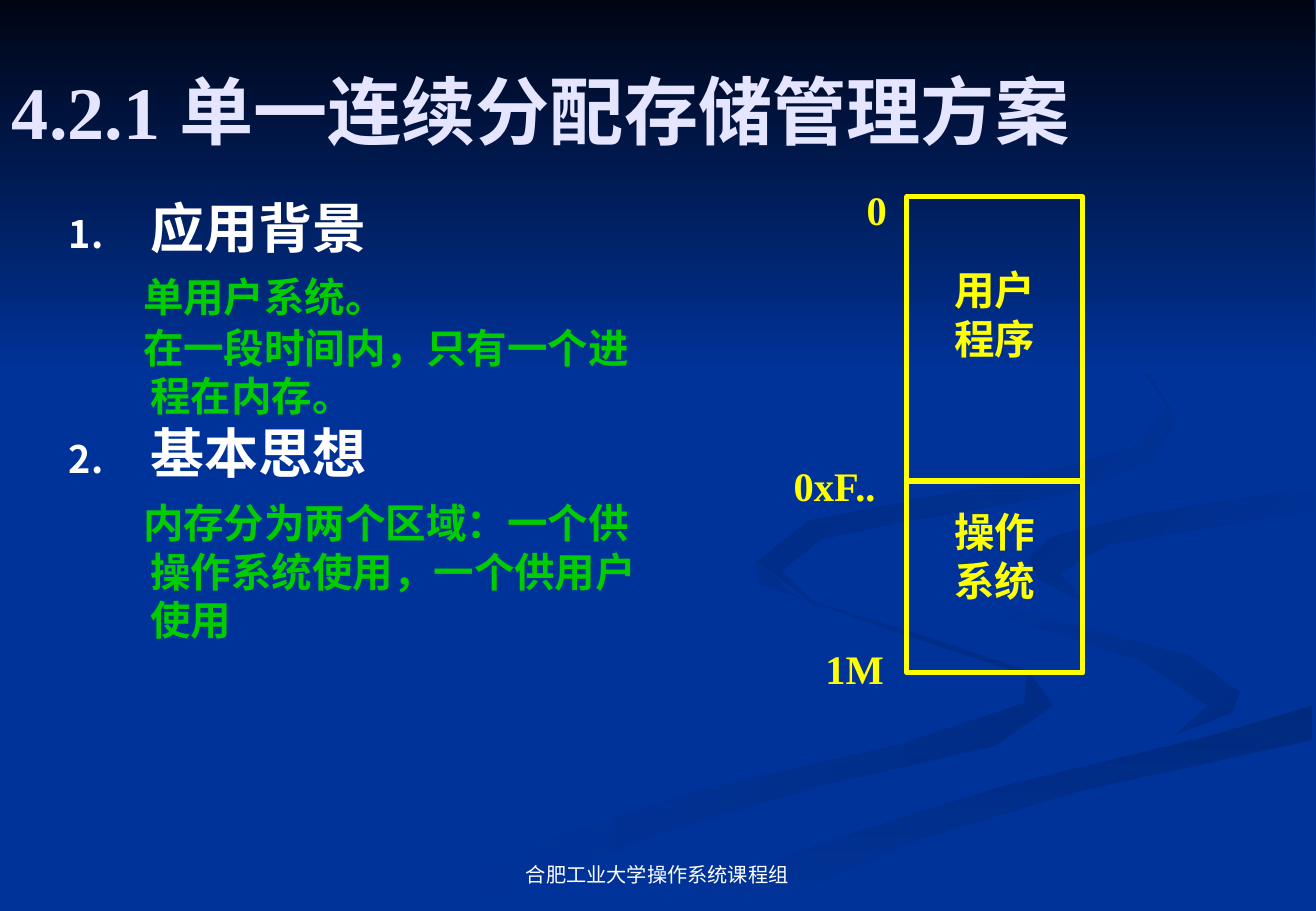
"""Build the slide on single contiguous memory allocation."""
from lxml.etree import SubElement
from pptx import Presentation
from pptx.dml.color import RGBColor
from pptx.enum.shapes import MSO_CONNECTOR as Connector, MSO_SHAPE as Shape
from pptx.enum.text import MSO_ANCHOR as Anchor, PP_ALIGN as Align
from pptx.oxml.ns import qn
from pptx.util import Inches, Pt

BLUE = RGBColor(0x00, 0x33, 0x99)
NIGHT = RGBColor(0x00, 0x05, 0x14)
SHADE = RGBColor(0x00, 0x2C, 0x86)
DEEP = RGBColor(0x00, 0x2A, 0x7D)
LAVENDER = RGBColor(0xE5, 0xE5, 0xFF)
WHITE = RGBColor(0xFF, 0xFF, 0xFF)
GREEN = RGBColor(0x00, 0xCC, 0x00)
YELLOW = RGBColor(0xFF, 0xFF, 0x00)
SERIF = "Times New Roman"
SANS = "Arial"

TITLE = "4.2.1 单一连续分配存储管理方案"
FOOTER = "合肥工业大学操作系统课程组"
SECTIONS = [
    ("应用背景", ["单用户系统。", "在一段时间内，只有一个进程在内存。"]),
    ("基本思想", ["内存分为两个区域：一个供操作系统使用，一个供用户使用"]),
]
MEMORY_AREAS = [("用户", "程序"), ("操作", "系统")]
ADDRESSES = [("0", 7.04, 1.47, 0.36), ("0xF..", 6.44, 3.75, 0.9), ("1M", 6.7, 5.25, 0.68)]
MEMORY = (7.47, 1.62, 1.45, 3.92)
DIVIDER_Y = 3.96

RIBBONS = [
    (BLUE, SHADE, 0, [
        (8.47, 5.53), (7.74, 5.28), (6.53, 4.9), (6.23, 4.59), (6.24, 4.8), (7.35, 5.19),
        (8.46, 5.56), (8.44, 5.79), (7.41, 6.13), (5.84, 6.49), (4.52, 6.9), (3.25, 7.49),
        (3.91, 7.49), (5.4, 6.87), (6.75, 6.47), (8.19, 6.14), (8.67, 5.81)]),
    (BLUE, SHADE, 45, [
        (10.21, 5.7), (9.8, 5.4), (8.38, 5.03), (7.84, 4.64), (8.18, 5.05), (9.4, 5.44),
        (9.95, 5.81), (9.68, 6.05), (10.15, 5.86)]),
    (DEEP, BLUE, 90, [
        (5.45, 7.49), (6.19, 7.49), (7.53, 6.92), (8.89, 6.51), (10.81, 6.09), (10.81, 5.81),
        (9.97, 6.06), (8.28, 6.47), (6.82, 6.93)]),
    (SHADE, BLUE, 45, [
        (8.47, 4.6), (8.57, 4.78), (8.94, 4.96), (8.72, 4.72), (9.13, 4.48), (10.81, 4.2),
        (10.81, 4.02), (9.37, 4.24), (8.66, 4.42)]),
    (DEEP, BLUE, 45, [
        (7.4, 4.3), (8.74, 4.07), (9.49, 3.78), (9.68, 3.44), (9.36, 2.91), (8.26, 2.33),
        (9.26, 2.85), (9.63, 3.35), (9.33, 3.7), (8.27, 3.98), (6.66, 4.29), (6.25, 4.62),
        (6.74, 5.0), (6.43, 4.7), (6.76, 4.44)]),
    (NIGHT, BLUE, 90, [(0, 0), (0, 3.08), (10.83, 3.08), (10.83, 0)]),
]


def add_ribbon(page, start, end, angle, points):
    corners = [(Inches(x), Inches(y)) for x, y in points]
    builder = page.shapes.build_freeform(*corners[0])
    builder.add_line_segments(corners[1:], close=True)
    ribbon = builder.convert_to_shape()
    ribbon.shadow.inherit = False
    ribbon.line.fill.background()
    ribbon.fill.gradient()
    ribbon.fill.gradient_angle = -angle % 360
    for stop, color in zip(ribbon.fill.gradient_stops, (start, end)):
        stop.color.rgb = color


def add_box(page, left, top, width, height, anchor=Anchor.TOP, wrap=True):
    box = page.shapes.add_textbox(*map(Inches, (left, top, width, height)))
    box.text_frame.word_wrap = wrap
    box.text_frame.vertical_anchor = anchor
    return box.text_frame


def write(para, text, size, color, bold=True, name=SERIF):
    para.text = text
    for span in para.runs:
        span.font.size = Pt(size)
        span.font.bold = bold
        span.font.name = name
        span.font.color.rgb = color


def next_para(frame, index):
    return frame.add_paragraph() if index else frame.paragraphs[0]


def indent(para, first_line):
    properties = para._p.get_or_add_pPr()
    properties.set("marL", str(Inches(0.67)))
    properties.set("indent", str(Inches(first_line)))
    return properties


def number(para, value):
    properties = indent(para, -0.67)
    tint = SubElement(properties, qn("a:buClr"))
    SubElement(tint, qn("a:srgbClr"), val=str(WHITE))
    SubElement(properties, qn("a:buSzPct"), val="70000")
    SubElement(properties, qn("a:buAutoNum"), type="arabicPeriod", startAt=str(value))


def add_sections(page):
    frame = add_box(page, 0.47, 1.55, 5.03, 5.67)
    for index, (heading, details) in enumerate(SECTIONS):
        para = next_para(frame, index)
        number(para, index + 1)
        write(para, heading, 32, WHITE)
        for order, detail in enumerate(details):
            para = frame.add_paragraph()
            indent(para, -0.06)
            para.space_before = Pt(1 if order else 8)
            write(para, detail, 24, GREEN)


def add_memory(page):
    left, top, width, height = MEMORY
    block = page.shapes.add_shape(Shape.RECTANGLE, *map(Inches, MEMORY))
    block.shadow.inherit = False
    block.fill.background()
    frame = block.text_frame
    frame.word_wrap = False
    frame.vertical_anchor = Anchor.MIDDLE
    lines = [(order, text) for area in MEMORY_AREAS for order, text in enumerate(area)]
    for index, (order, text) in enumerate(lines):
        para = next_para(frame, index)
        para.alignment = Align.CENTER
        if index and order == 0:
            para.space_before = Pt(86)
        write(para, text, 24, YELLOW)
    divider = page.shapes.add_connector(
        Connector.STRAIGHT, *map(Inches, (left, DIVIDER_Y, left + width, DIVIDER_Y)))
    for outline in (block.line, divider.line):
        outline.color.rgb = YELLOW
        outline.width = Pt(3)
    SubElement(divider._element.spPr, qn("a:effectLst"))
    for address, x, y, label_width in ADDRESSES:
        label = add_box(page, x, y, label_width, 0.5, wrap=False)
        write(label.paragraphs[0], address, 24, YELLOW)


def main():
    deck = Presentation()
    deck.slide_width, deck.slide_height = Inches(10.84), Inches(7.5)
    page = deck.slides.add_slide(deck.slide_layouts[6])
    page.background.fill.solid()
    page.background.fill.fore_color.rgb = BLUE
    for ribbon in RIBBONS:
        add_ribbon(page, *ribbon)
    footer = add_box(page, 3.7, 6.83, 3.43, 0.52, Anchor.BOTTOM).paragraphs[0]
    footer.alignment = Align.CENTER
    write(footer, FOOTER, 12, WHITE, False, SANS)
    title = add_box(page, 0, 0.28, 10.31, 1.25, Anchor.MIDDLE)
    write(title.paragraphs[0], TITLE, 44, LAVENDER)
    add_sections(page)
    add_memory(page)
    deck.save("out.pptx")


if __name__ == "__main__":
    main()
